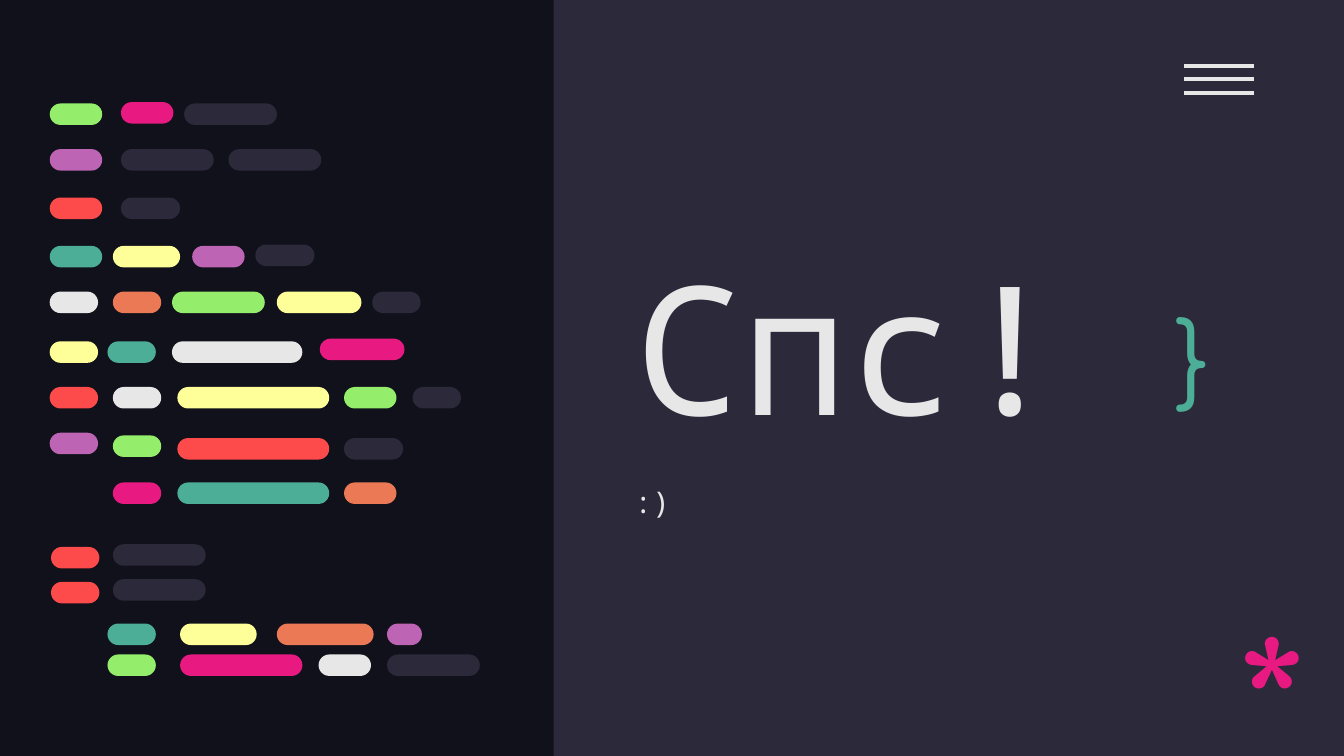
from pptx import Presentation
from pptx.dml.color import RGBColor
from pptx.enum.shapes import MSO_CONNECTOR as Line, MSO_SHAPE as Shape
from pptx.enum.text import MSO_ANCHOR as Anchor, MSO_AUTO_SIZE as Fit, PP_ALIGN as Align
from pptx.oxml.ns import qn
from pptx.util import Inches, Pt
from lxml.etree import SubElement

WIDE = 10
HIGH = WIDE * 9 / 16
NIGHT, SLATE, WHITE = "10111A", "2C293A", "E7E7E7"
GREEN, PINK, PLUM, RED = "94EE6B", "E81A81", "BD64B5", "FD4A4A"
TEAL, YELLOW, ORANGE = "4CAE97", "FFFF99", "EC7955"
MONO, ROUND = "Noto Sans Mono", "Comfortaa"

CODE = [
    (0.77, [(0.37, 0.39, GREEN), (1.37, 0.69, SLATE)]),
    (0.76, [(0.9, 0.39, PINK)]),
    (1.11, [(0.37, 0.39, PLUM), (0.9, 0.69, SLATE), (1.7, 0.69, SLATE)]),
    (1.47, [(0.37, 0.39, RED), (0.9, 0.44, SLATE)]),
    (1.83, [(0.37, 0.39, TEAL), (0.84, 0.5, YELLOW), (1.43, 0.39, PLUM)]),
    (1.82, [(1.9, 0.44, SLATE)]),
    (2.17, [(0.37, 0.36, WHITE), (0.84, 0.36, ORANGE), (1.28, 0.69, GREEN),
            (2.06, 0.63, YELLOW), (2.77, 0.36, SLATE)]),
    (2.54, [(0.37, 0.36, YELLOW), (0.8, 0.36, TEAL), (1.28, 0.97, WHITE)]),
    (2.52, [(2.38, 0.63, PINK)]),
    (2.88, [(0.37, 0.36, RED), (0.84, 0.36, WHITE), (1.32, 1.13, YELLOW),
            (2.56, 0.39, GREEN), (3.07, 0.36, SLATE)]),
    (3.22, [(0.37, 0.36, PLUM)]),
    (3.24, [(0.84, 0.36, GREEN)]),
    (3.26, [(1.32, 1.13, RED), (2.56, 0.44, SLATE)]),
    (3.59, [(0.84, 0.36, PINK), (1.32, 1.13, TEAL), (2.56, 0.39, ORANGE)]),
    (4.07, [(0.38, 0.36, RED)]),
    (4.05, [(0.84, 0.69, SLATE)]),
    (4.33, [(0.38, 0.36, RED)]),
    (4.31, [(0.84, 0.69, SLATE)]),
    (4.64, [(0.8, 0.36, TEAL), (1.34, 0.57, YELLOW), (2.06, 0.72, ORANGE),
            (2.88, 0.26, PLUM)]),
    (4.87, [(0.8, 0.36, GREEN), (1.34, 0.91, PINK), (2.37, 0.39, WHITE),
            (2.88, 0.69, SLATE)]),
]


def color(code):
    return RGBColor.from_string(code)


def paint(fill, code):
    fill.solid()
    fill.fore_color.rgb = color(code)


def add_block(shapes, kind, x, y, w, h, code):
    block = shapes.add_shape(kind, Inches(x), Inches(y), Inches(w), Inches(h))
    block.shadow.inherit = False
    paint(block.fill, code)
    block.line.fill.background()
    return block


def add_code(slide):
    group = slide.shapes.add_group_shape()
    for y, row in CODE:
        for x, w, code in row:
            pill = add_block(group.shapes, Shape.ROUNDED_RECTANGLE, x, y, w, 0.16, code)
            pill.adjustments[0] = 0.5


def add_menu(slide):
    group = slide.shapes.add_group_shape()
    for i in range(3):
        y = Inches(0.49 + 0.1 * i)
        bar = group.shapes.add_connector(Line.STRAIGHT, Inches(8.81), y, Inches(9.33), y)
        bar.line.color.rgb = color(WHITE)
        bar.line.width = Pt(2.25)
        SubElement(bar._element.spPr, qn("a:effectLst"))


def set_text(box, text, size, face, code, anchor=Anchor.TOP, space=1.0):
    frame = box.text_frame
    frame.word_wrap = True
    frame.auto_size = Fit.NONE
    frame.vertical_anchor = anchor
    frame.margin_left = frame.margin_right = Inches(0.1)
    frame.margin_top = frame.margin_bottom = Inches(0.1)
    para = frame.paragraphs[0]
    para.alignment = Align.LEFT
    para.line_spacing = space
    para.space_before = Pt(0)
    run = para.add_run()
    run.text = text
    run.font.size = Pt(size)
    run.font.name = face
    run.font.color.rgb = color(code)


def place(box, x, y, w, h):
    box.left, box.top = Inches(x), Inches(y)
    box.width, box.height = Inches(w), Inches(h)


def add_sign(slide, text, x, y, w, h, size, code):
    box = slide.shapes.add_textbox(Inches(x), Inches(y), Inches(w), Inches(h))
    set_text(box, text, size, ROUND, code)


def add_heads(slide):
    title, sub = slide.placeholders
    place(title, 4.62, 1.31, 4.6, 2.15)
    set_text(title, "Спс!", 96, MONO, WHITE, Anchor.BOTTOM)
    place(sub, 4.62, 3.46, 4.6, 1.17)
    paint(sub.fill, SLATE)
    set_text(sub, ":)", 16, MONO, WHITE, space=1.15)
    return title, sub


def main():
    deck = Presentation()
    deck.slide_width, deck.slide_height = Inches(WIDE), Inches(HIGH)
    slide = deck.slides.add_slide(deck.slide_layouts[0])
    paint(slide.background.fill, NIGHT)
    heads = add_heads(slide)
    add_block(slide.shapes, Shape.RECTANGLE, 4.12, 0, WIDE - 4.12, HIGH, SLATE)
    add_menu(slide)
    for head in heads:
        slide.shapes._spTree.append(head._element)
    add_sign(slide, "*", 9.11, 4.35, 0.57, 0.87, 96, PINK)
    add_code(slide)
    add_sign(slide, "}", 8.65, 2.11, 0.57, 0.95, 50, TEAL)
    deck.save("out.pptx")


if __name__ == "__main__":
    main()
